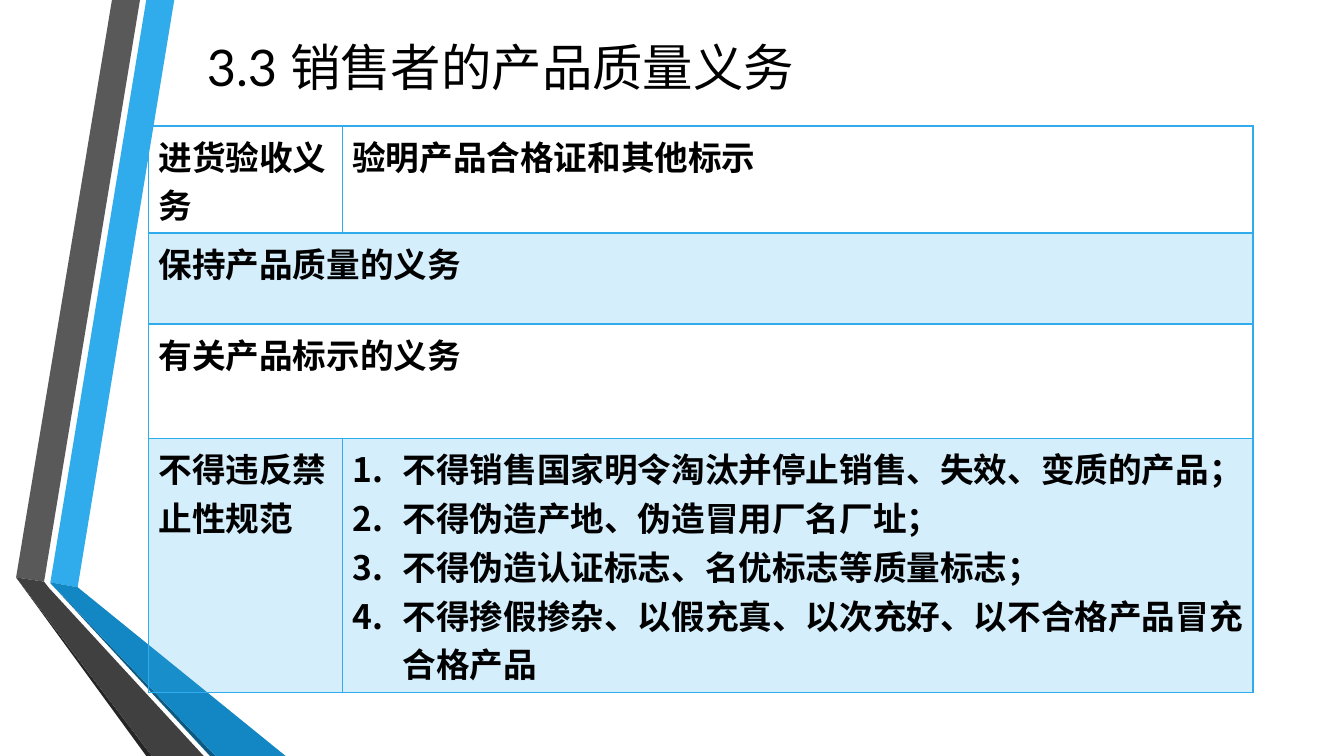
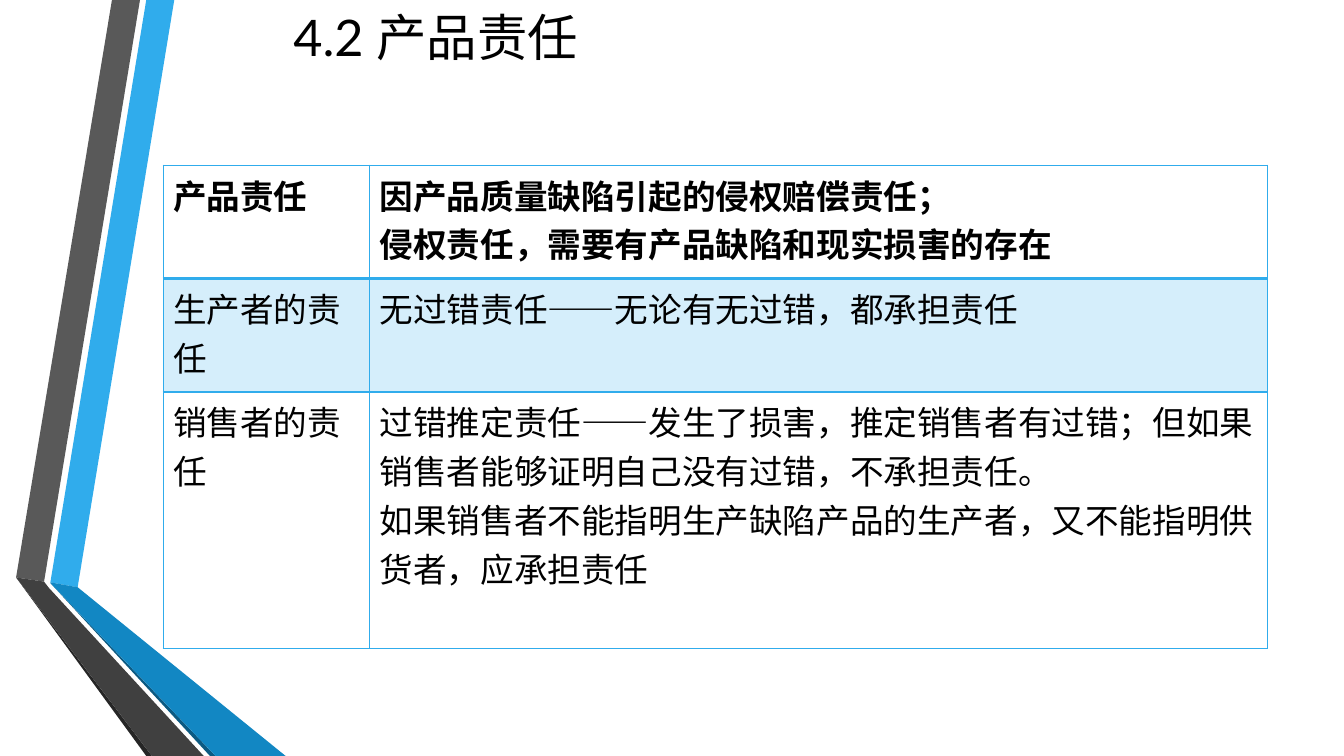
import pptx
import pptx.util
import pptx.dml.color
import pptx.enum.text
import pptx.oxml.ns
import lxml.etree

Pt = pptx.util.Pt
RGB = pptx.dml.color.RGBColor.from_string
qn = pptx.oxml.ns.qn
ALIGN = pptx.enum.text.PP_ALIGN

# Theme: colours, type and line sizes
theme = {
    "font": "Lato", "ink": "000000", "title": 36, "body": 24,
    "sky": "30ACEC", "blue": "1287C3", "navy": "0C5A82",
    "grey": "595959", "dark": "404040", "black": "262626",
    "tint": 20, "thin": 1, "thick": 2,
}

# Ribbon pieces on the left of every slide, back to front
ribbon = [
    ("sky", [(36, 416), (55.5, 419.5), (124.5, 0), (104.5, 0)]),
    ("grey", [(100, 0), (80, 0), (11.5, 412.5), (31.5, 415.5)]),
    ("black", [(11.5, 412.5), (104.5, 540), (108.5, 540)]),
    ("navy", [(36, 416.5), (150, 540), (154, 540)]),
    ("blue", [(36, 416.5), (154, 540), (204, 540), (55.5, 419.5), (36, 416)]),
    ("dark", [(145.5, 540), (34.5, 419.5), (31.5, 415.5), (11.5, 412.5),
              (108.5, 540)]),
]

# Content: a row with one cell spans both columns
pages = [
    {
        "title": "3.3 销售者的产品质量义务", "box": (116.5, 36, 482, 22.5),
        "at": (106, 90), "cols": (138.5, 650.5),
        "rows": (76.5, 65, 82, 181), "bold": 4, "list": (3, 1),
        "cells": [
            ["进货验收义务", "验明产品合格证和其他标示"],
            ["保持产品质量的义务"],
            ["有关产品标示的义务"],
            ["不得违反禁止性规范",
             "不得销售国家明令淘汰并停止销售、失效、变质的产品；\n"
             "不得伪造产地、伪造冒用厂名厂址；\n"
             "不得伪造认证标志、名优标志等质量标志；\n"
             "不得掺假掺杂、以假充真、以次充好、以不合格产品冒充合格产品"],
        ],
    },
    {
        "title": "4.2 产品责任", "box": (76, 10, 470.5, 32),
        "at": (116.5, 118), "cols": (147.5, 641.5),
        "rows": (81, 81, 183.5), "bold": 1, "list": None,
        "cells": [
            ["产品责任",
             "因产品质量缺陷引起的侵权赔偿责任；\n"
             "侵权责任，需要有产品缺陷和现实损害的存在"],
            ["生产者的责任", "无过错责任——无论有无过错，都承担责任"],
            ["销售者的责任",
             "过错推定责任——发生了损害，推定销售者有过错；"
             "但如果销售者能够证明自己没有过错，不承担责任。\n"
             "如果销售者不能指明生产缺陷产品的生产者，"
             "又不能指明供货者，应承担责任"],
        ],
    },
]


def write(frame, text, size, bold=False, align=ALIGN.LEFT, count=False):
    frame.word_wrap = True
    for i, line in enumerate(text.split("\n")):
        para = frame.add_paragraph() if i else frame.paragraphs[0]
        para.alignment = align
        run = para.add_run()
        run.text = line
        run.font.name = theme["font"]
        run.font.size = Pt(size)
        run.font.bold = bold
        run.font.color.rgb = RGB(theme["ink"])
        if count:
            props = para._p.get_or_add_pPr()
            props.set("marL", str(Pt(36)))
            props.set("indent", str(Pt(-36)))
            lxml.etree.SubElement(props, qn("a:buAutoNum"), type="arabicPeriod")


deck = pptx.Presentation()
deck.slide_width, deck.slide_height = Pt(960), Pt(540)

for page in pages:
    slide = deck.slides.add_slide(deck.slide_layouts[6])

    # Ribbon
    for color, dots in ribbon:
        dots = [(Pt(x), Pt(y)) for x, y in dots]
        pen = slide.shapes.build_freeform(*dots[0])
        pen.add_line_segments(dots[1:], close=True)
        piece = pen.convert_to_shape()
        piece.shadow.inherit = False
        piece.fill.solid()
        piece.fill.fore_color.rgb = RGB(theme[color])
        piece.line.fill.background()

    # Title
    box = slide.shapes.add_textbox(*map(Pt, page["box"]))
    box.text_frame.vertical_anchor = pptx.enum.text.MSO_ANCHOR.MIDDLE
    write(box.text_frame, page["title"], theme["title"], align=ALIGN.CENTER)

    # Table grid
    cols, rows = page["cols"], page["rows"]
    size = (sum(cols), sum(rows))
    table = slide.shapes.add_table(
        len(rows), len(cols), *map(Pt, page["at"] + size)).table
    table.first_row = table.horz_banding = False
    for col, width in zip(table.columns, cols):
        col.width = Pt(width)
    for row, height in zip(table.rows, rows):
        row.height = Pt(height)

    # Cells: text, tint on every second row, borders
    for r, texts in enumerate(page["cells"]):
        if len(texts) == 1:
            table.cell(r, 0).merge(table.cell(r, 1))
        for c, text in enumerate(texts):
            write(table.cell(r, c).text_frame, text, theme["body"],
                  bold=r < page["bold"], count=(r, c) == page["list"])
        for c in range(len(cols)):
            cell = table.cell(r, c)
            props = cell._tc.get_or_add_tcPr()
            if r % 2:
                cell.fill.solid()
                cell.fill.fore_color.rgb = RGB(theme["sky"])
                tone = props.find(".//" + qn("a:srgbClr"))
                lxml.etree.SubElement(
                    tone, qn("a:alpha"), val=str(theme["tint"] * 1000))
            else:
                cell.fill.background()
            for i, side in enumerate("LRTB"):
                heavy = (r, side) in ((0, "B"), (1, "T"))
                width = theme["thick" if heavy else "thin"]
                edge = lxml.etree.Element(qn("a:ln" + side), w=str(Pt(width)))
                fill = lxml.etree.SubElement(edge, qn("a:solidFill"))
                lxml.etree.SubElement(fill, qn("a:srgbClr"), val=theme["sky"])
                props.insert(i, edge)

deck.save("out.pptx")
